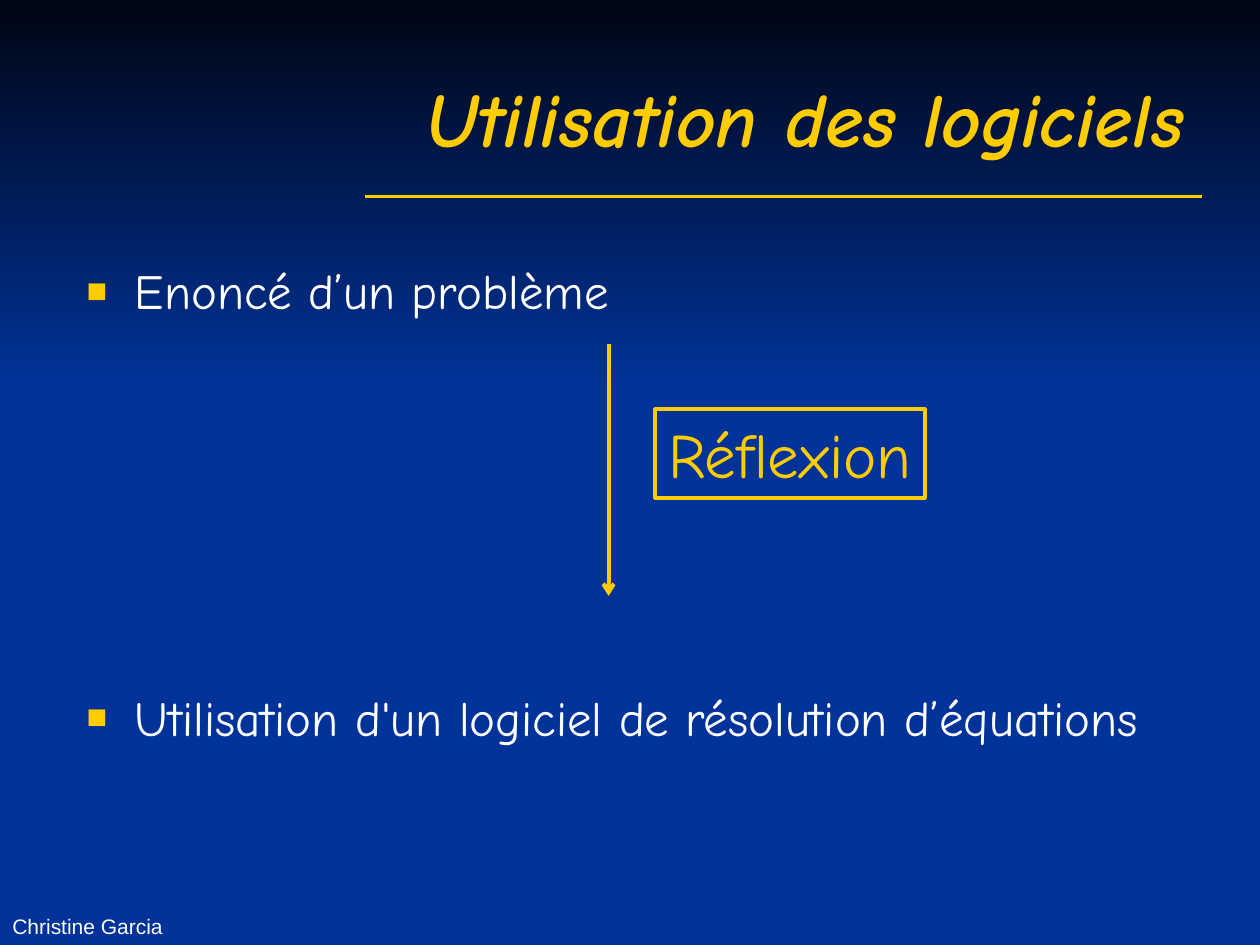
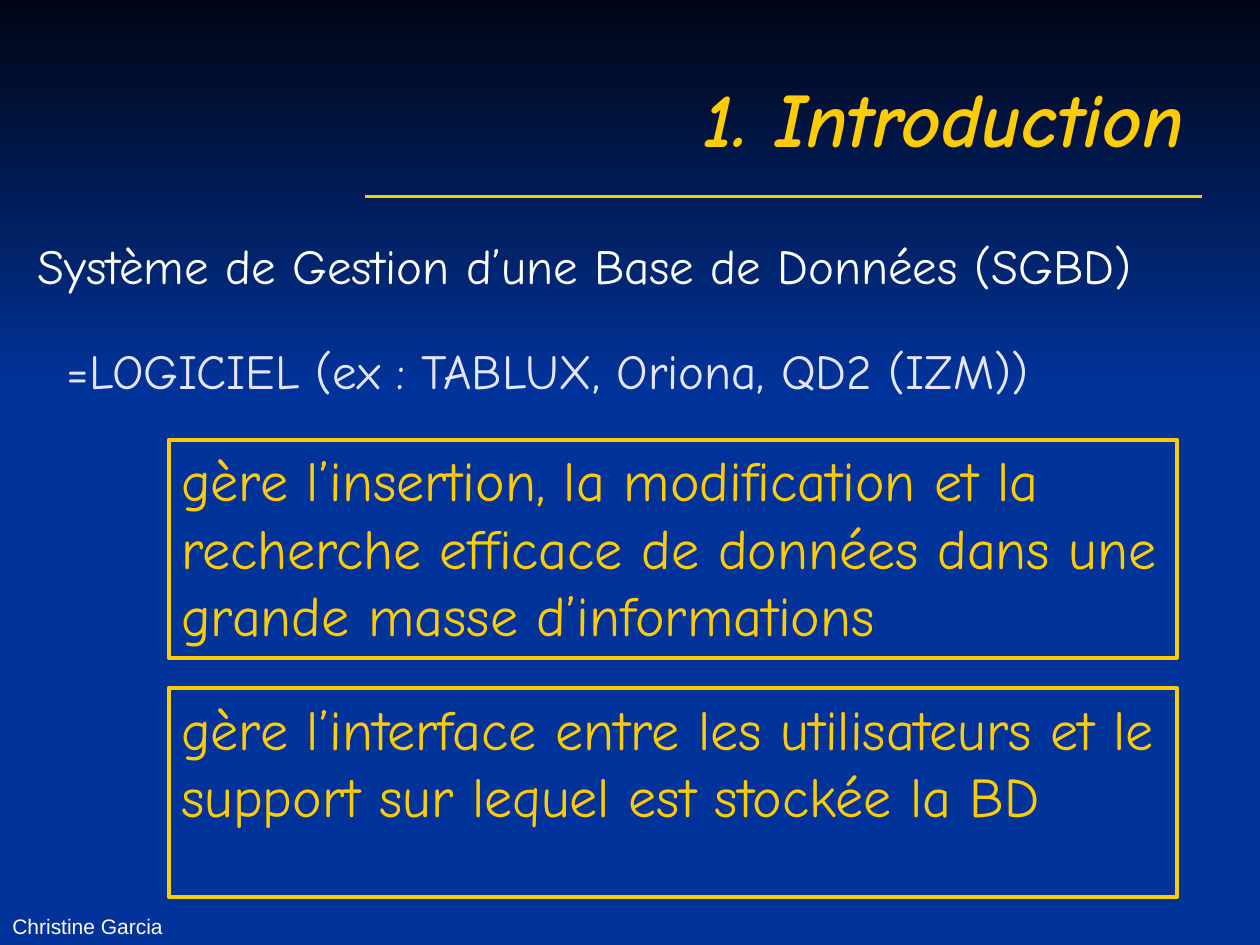
"""Build two slides on solving problems with software and on database systems."""
from lxml.etree import SubElement
from pptx import Presentation
from pptx.dml.color import RGBColor
from pptx.enum.shapes import MSO_CONNECTOR, MSO_SHAPE
from pptx.enum.text import MSO_ANCHOR, PP_ALIGN
from pptx.oxml.ns import qn
from pptx.util import Inches, Pt

BLUE = RGBColor(0x00, 0x33, 0x99)
NIGHT = RGBColor(0x00, 0x05, 0x14)
GOLD = RGBColor(0xFF, 0xCC, 0x00)
WHITE = RGBColor(0xFF, 0xFF, 0xFF)
LAVENDER = RGBColor(0xE5, 0xE5, 0xFF)
HAND_FONT = "Comic Neue"


def add_text(page, lines, place, size, color, font=HAND_FONT, align=PP_ALIGN.LEFT,
             anchor=MSO_ANCHOR.TOP, wrap=True, framed=False):
    """Add a text box, or a gold-framed rectangle, and return it."""
    place = [Inches(length) for length in place]
    if framed:
        box = page.shapes.add_shape(MSO_SHAPE.RECTANGLE, *place)
        box.shadow.inherit = False
        box.fill.background()
        box.line.color.rgb = GOLD
        box.line.width = Pt(2.25)
    else:
        box = page.shapes.add_textbox(*place)
    frame = box.text_frame
    frame.text = lines
    frame.word_wrap = wrap
    frame.vertical_anchor = anchor
    for para in frame.paragraphs:
        para.alignment = align
        for span in para.runs:
            span.font.size = Pt(size)
            span.font.name = font
            span.font.color.rgb = color
    return box


def add_line(page, left, top, right, bottom, width):
    """Add a gold line without shadow and return it."""
    line = page.shapes.add_connector(
        MSO_CONNECTOR.STRAIGHT, Inches(left), Inches(top), Inches(right), Inches(bottom))
    line.line.color.rgb = GOLD
    line.line.width = Pt(width)
    SubElement(line._element.spPr, qn("a:effectLst"))
    return line


deck = Presentation()
deck.slide_width = Inches(10)
deck.slide_height = Inches(7.5)

pages = []
for title in ("Utilisation des logiciels", "1. Introduction"):
    page = deck.slides.add_slide(deck.slide_layouts[6])
    page.background.fill.solid()
    page.background.fill.fore_color.rgb = BLUE

    band = page.shapes.add_shape(MSO_SHAPE.RECTANGLE, 0, 0, deck.slide_width, Inches(3.09))
    band.shadow.inherit = False
    band.line.fill.background()
    band.fill.gradient()
    band.fill.gradient_angle = 270
    for stop, color in zip(band.fill.gradient_stops, (NIGHT, BLUE)):
        stop.color.rgb = color

    add_line(page, 2.9, 1.56, 9.54, 1.56, 2)
    title_box = add_text(page, title, (0.5, 0.3, 9, 1.25), 44, GOLD,
                         align=PP_ALIGN.RIGHT, anchor=MSO_ANCHOR.MIDDLE)
    title_font = title_box.text_frame.paragraphs[0].runs[0].font
    title_font.bold = True
    title_font.italic = True
    add_text(page, "Christine Garcia", (0, 6.98, 3.17, 0.52), 12, WHITE,
             font="Arial", anchor=MSO_ANCHOR.BOTTOM)
    pages.append(page)

software_page, introduction_page = pages

steps = add_text(
    software_page,
    "Enoncé d’un problème\nUtilisation d'un logiciel de résolution d’équations",
    (0.59, 2.02, 9, 4.49), 28, WHITE)
for para in steps.text_frame.paragraphs:
    properties = para._p.get_or_add_pPr()
    properties.set("marL", str(Inches(0.38)))
    properties.set("indent", str(-Inches(0.38)))
    bullet_color = SubElement(properties, qn("a:buClr"))
    SubElement(bullet_color, qn("a:srgbClr"), val=str(GOLD))
    SubElement(properties, qn("a:buSzPct"), val="70000")
    SubElement(properties, qn("a:buFont"), typeface="Arial")
    SubElement(properties, qn("a:buChar"), char="■")
steps.text_frame.paragraphs[1].space_before = Pt(210)

add_text(software_page, "Réflexion", (5.2, 3.25, 2.14, 0.7), 36, GOLD,
         align=PP_ALIGN.CENTER, wrap=False, framed=True)
arrow = add_line(software_page, 4.83, 2.73, 4.83, 4.73, 2.25)
SubElement(arrow.line._get_or_add_ln(), qn("a:tailEnd"), type="arrow")

add_text(introduction_page, "Système de Gestion d’une Base de Données (SGBD)",
         (0.2, 1.82, 9.65, 0.83), 28, WHITE)
add_text(introduction_page, "=LOGICIEL (ex : TABLUX, Oriona, QD2 (IZM))",
         (0.43, 2.65, 9.37, 0.57), 28, LAVENDER)
roles = (
    ("gère l’insertion, la modification et la recherche efficace de données "
     "dans une grande masse d’informations", 3.49, 1.73),
    ("gère l’interface entre les utilisateurs et le support sur lequel "
     "est stockée la BD", 5.46, 1.66),
)
for role, top, height in roles:
    add_text(introduction_page, role, (1.34, top, 8, height), 32, GOLD, framed=True)

deck.save("out.pptx")
